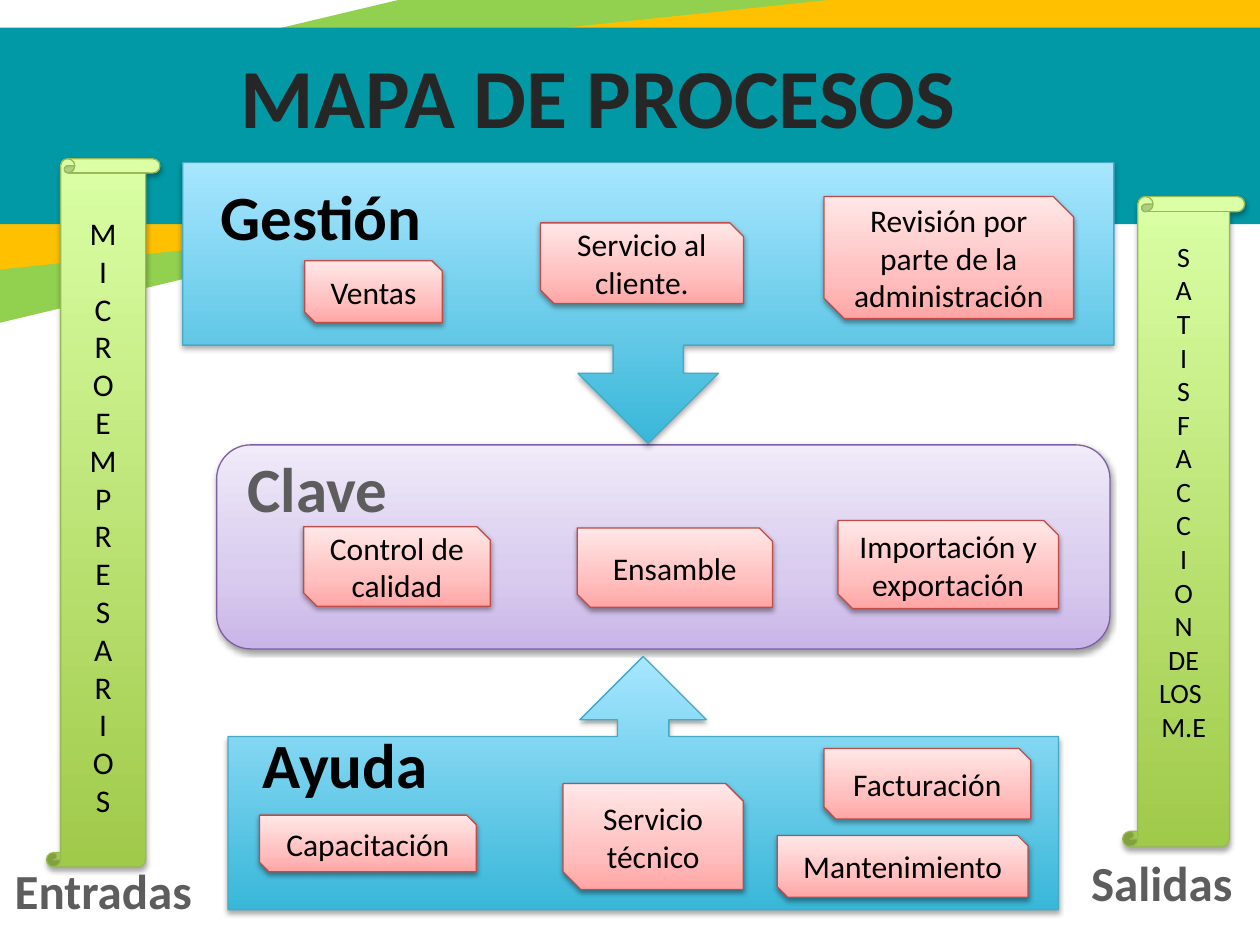
from pptx import Presentation
from pptx.dml.color import RGBColor
from pptx.enum import shapes, text
from pptx.oxml import parse_xml
from pptx.oxml.ns import nsdecls
from pptx.util import Pt

GREEN = RGBColor(0x92, 0xD0, 0x50)
GOLD = RGBColor(0xFF, 0xC0, 0x00)
TEAL = RGBColor(0x00, 0x99, 0xA5)
BLACK = RGBColor(0x00, 0x00, 0x00)
DARK = RGBColor(0x26, 0x26, 0x26)
GRAY = RGBColor(0x5D, 0x5D, 0x5D)

# Styles: gradient stops from bottom to top, line, shadow opacity, shadow distance
BLUE = ([(0, RGBColor(0x39, 0xB7, 0xD8)), (100, RGBColor(0xA7, 0xE6, 0xFF))],
        RGBColor(0x46, 0xAA, 0xC5), 35, 1.8)
LIME = ([(0, RGBColor(0xA0, 0xCA, 0x4A)), (100, RGBColor(0xDA, 0xFF, 0xA5))],
        RGBColor(0x98, 0xB9, 0x55), 35, 1.8)
LILAC = ([(0, RGBColor(0xC9, 0xB5, 0xE8)), (35, RGBColor(0xD8, 0xCB, 0xEE)),
          (100, RGBColor(0xF0, 0xEA, 0xF9))],
         RGBColor(0x7D, 0x60, 0xA0), 38, 1.6)
PINK = ([(0, RGBColor(0xFF, 0xA6, 0xA5)), (35, RGBColor(0xFF, 0xC0, 0xBF)),
         (100, RGBColor(0xFF, 0xE7, 0xE7))],
        RGBColor(0xBF, 0x4C, 0x48), 38, 1.6)

KIND = shapes.MSO_SHAPE
deck = Presentation()
deck.slide_width, deck.slide_height = Pt(720), Pt(540)
slide = deck.slides.add_slide(deck.slide_layouts[5])


def write(shape, lines, size, color=BLACK, bold=False):
    frame = shape.text_frame
    frame.text = "\n".join(lines)
    for para in frame.paragraphs:
        para.alignment = text.PP_ALIGN.CENTER
        para.font.name = "Calibri"
        para.font.size = Pt(size)
        para.font.bold = bold
        para.font.color.rgb = color
    return frame


def draw(kind, box, style):
    stops, edge, alpha, dist = style
    shape = slide.shapes.add_shape(kind, *map(Pt, box))
    marks = "".join(f'<a:gs pos="{pos * 1000}"><a:srgbClr val="{color}"/></a:gs>'
                    for pos, color in stops)
    props = shape._element.spPr
    props.append(parse_xml(
        f'<a:gradFill {nsdecls("a")} rotWithShape="1"><a:gsLst>{marks}</a:gsLst>'
        '<a:lin ang="16200000" scaled="0"/></a:gradFill>'))
    shape.line.color.rgb = edge
    shape.line.width = Pt(0.75)
    shape.shadow.inherit = False
    props.effectLst.append(parse_xml(
        f'<a:outerShdw {nsdecls("a")} blurRad="{Pt(3.1)}" dist="{Pt(dist)}" '
        'dir="5400000" rotWithShape="0"><a:srgbClr val="000000">'
        f'<a:alpha val="{alpha * 1000}"/></a:srgbClr></a:outerShdw>'))
    return shape


# Header bands
for box, turn, color in [
    ((-180.7, -13, 940.3, 126.7), 346.6, GREEN),
    ((-79.2, 14.4, 837.4, 103.7), 354, GOLD),
    ((0, 15.8, 720, 112.3), 0, TEAL),
]:
    band = slide.shapes.add_shape(KIND.RECTANGLE, *map(Pt, box))
    band.rotation = turn
    band.fill.solid()
    band.fill.fore_color.rgb = color
    band.line.fill.background()
    band.shadow.inherit = False

# Process levels
draw(KIND.FLOWCHART_ALTERNATE_PROCESS, (123.8, 254.2, 510.5, 116.6), LILAC)
help_box = draw(KIND.UP_ARROW_CALLOUT, (130.3, 375.1, 474.5, 144.7), BLUE)
for i, value in enumerate((0.203, 0.25, 0.25, 0.684)):
    help_box.adjustments[i] = value
draw(KIND.DOWN_ARROW_CALLOUT, (104.4, 92.9, 532.1, 160.6), BLUE)

# Title, raised above the bands
title = slide.shapes.title
title.left, title.top, title.width, title.height = map(Pt, (12.2, 18.7, 670.3, 70.6))
frame = write(title, ["MAPA DE PROCESOS "], 48, DARK, True)
frame.word_wrap = False
frame.auto_size = text.MSO_AUTO_SIZE.NONE
frame.vertical_anchor = text.MSO_ANCHOR.MIDDLE
slide.shapes._spTree.append(title._element)

# Side scrolls, one letter or word a line
for box, lines, size, foot in [
    ((26.6, 90.7, 64.8, 404.6), list("MICROEMPRESARIOS"), 18, 3.6),
    ((641.5, 112.3, 69.8, 371.5), [*"SATISFACCION", "DE", "LOS ", "M.E"], 16, 42.6),
]:
    scroll = draw(KIND.VERTICAL_SCROLL, box, LIME)
    frame = write(scroll, lines, size)
    frame.vertical_anchor = text.MSO_ANCHOR.MIDDLE
    frame.margin_bottom = Pt(foot)

# Process cards
for label, *box in [
    ("Servicio al cliente.", 308.9, 127.4, 115.9, 46.1),
    ("Servicio técnico", 321.8, 447.8, 103, 60.5),
    ("Control de calidad", 173.5, 301, 106.6, 45.4),
    ("Facturación", 470.9, 427.7, 118.1, 40.3),
    ("Mantenimiento", 444.2, 477.4, 143.3, 35.3),
    ("Capacitación", 148.3, 465.8, 123.8, 32.4),
    ("Ensamble", 329.8, 301.7, 111.6, 45.4),
    ("Importación y exportación", 478.8, 297.4, 126, 50.4),
    ("Ventas", 174.2, 149, 78.5, 35.3),
    ("Revisión por parte de la administración", 470.9, 112.3, 142.6, 69.8),
]:
    card = draw(KIND.SNIP_2_DIAG_RECTANGLE, box, PINK)
    write(card, [label], 18).vertical_anchor = text.MSO_ANCHOR.MIDDLE

# Headings
for label, size, color, *box in [
    ("Gestión", 36, BLACK, 118.1, 97.9, 131, 51.1),
    ("Clave", 36, GRAY, 133.9, 253.4, 95, 51.1),
    ("Ayuda", 36, BLACK, 142.6, 411.1, 109.4, 51.1),
    ("Entradas", 28, GRAY, 0.7, 488.2, 116.6, 41),
    ("Salidas", 28, GRAY, 615.6, 483.8, 96.5, 41),
]:
    head = slide.shapes.add_textbox(*map(Pt, box))
    frame = write(head, [label], size, color, True)
    frame.word_wrap = False
    frame.auto_size = text.MSO_AUTO_SIZE.SHAPE_TO_FIT_TEXT

deck.save("out.pptx")
